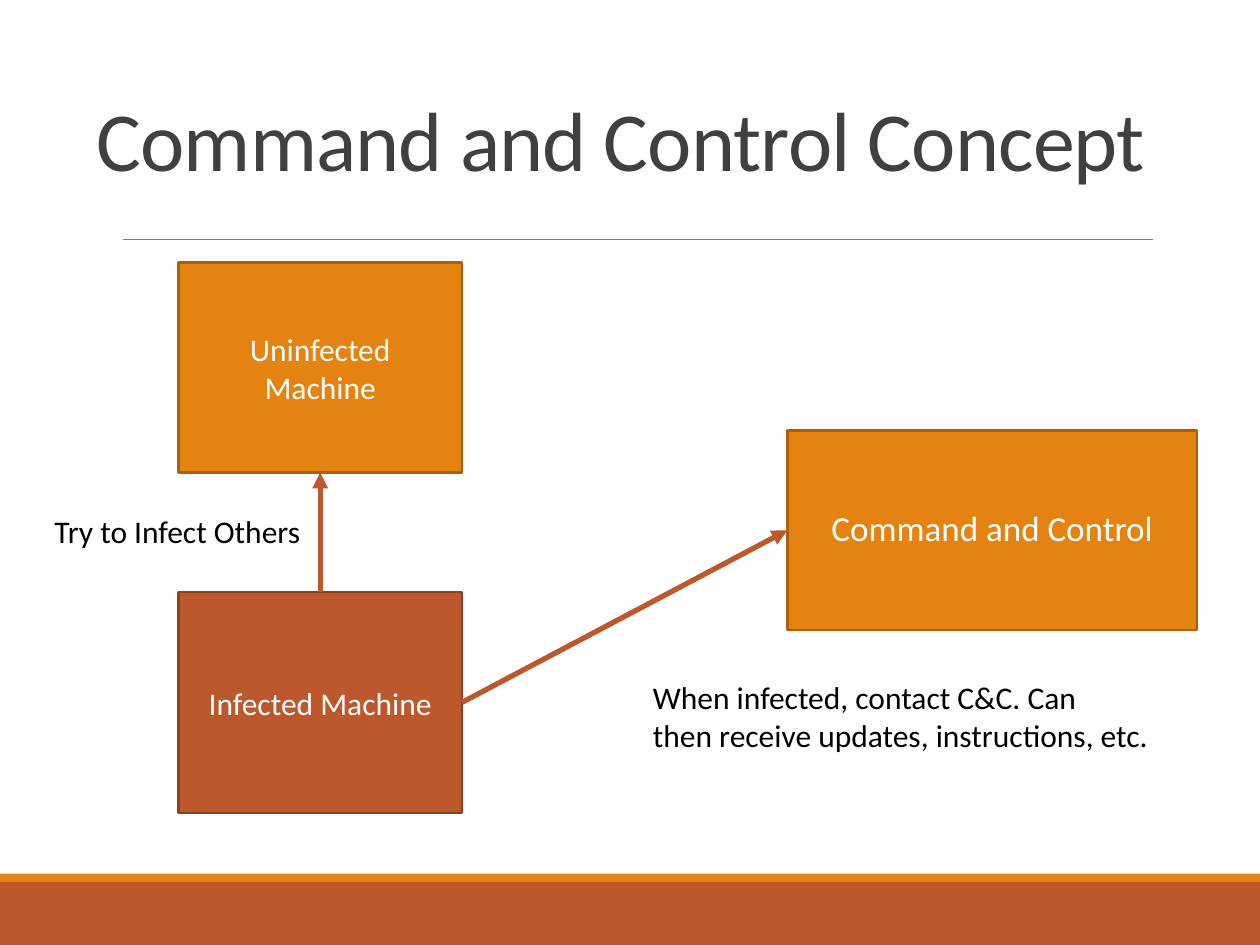
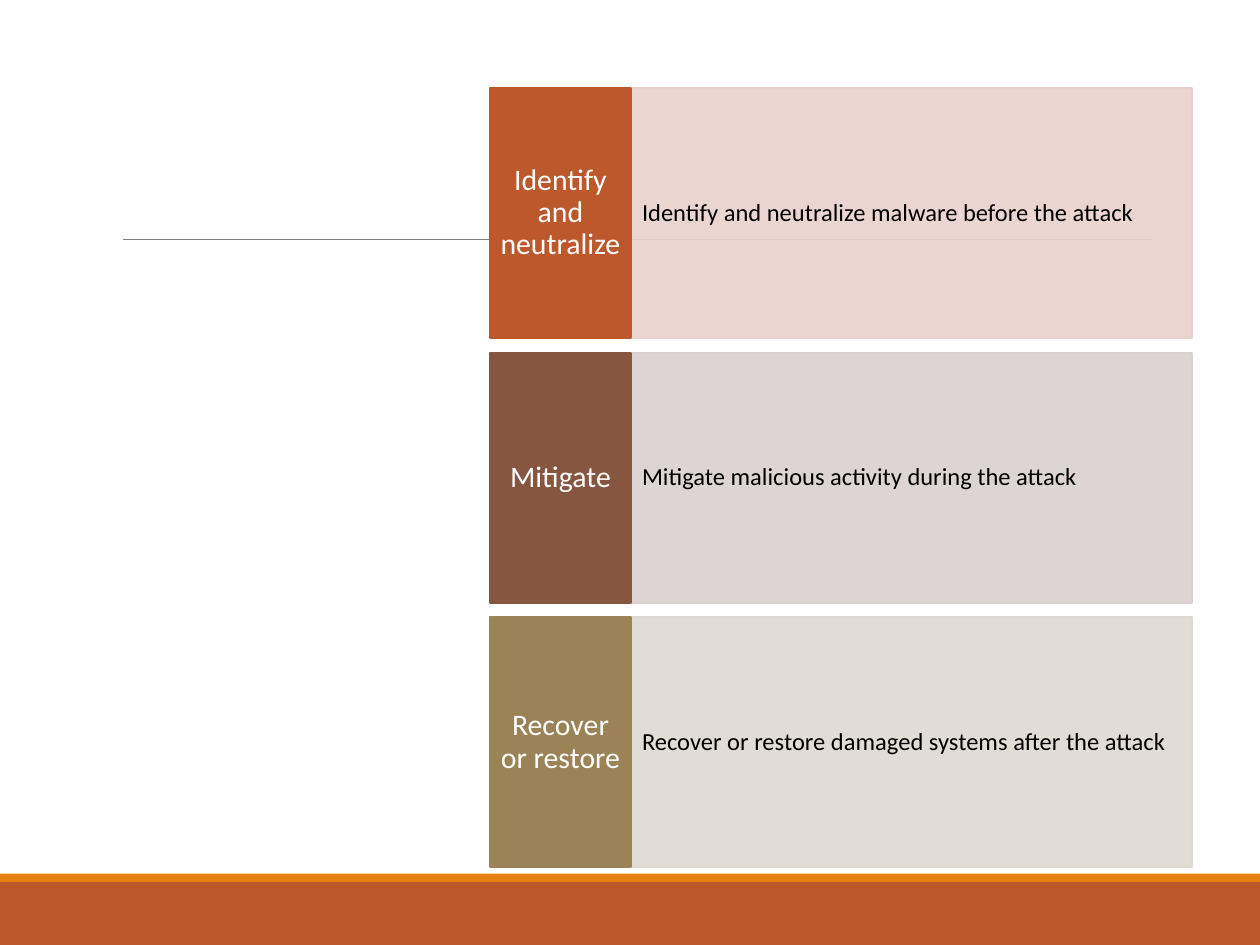
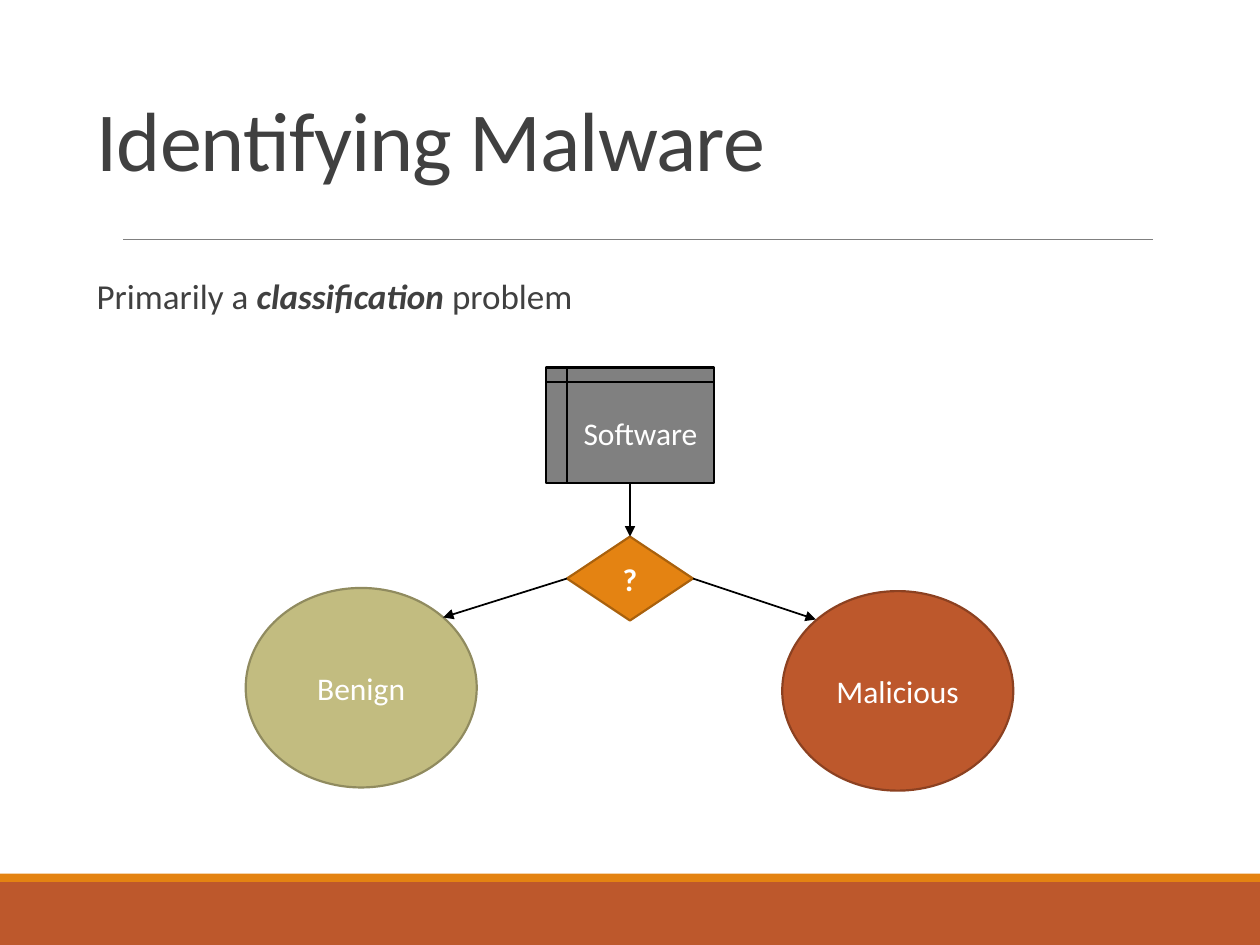
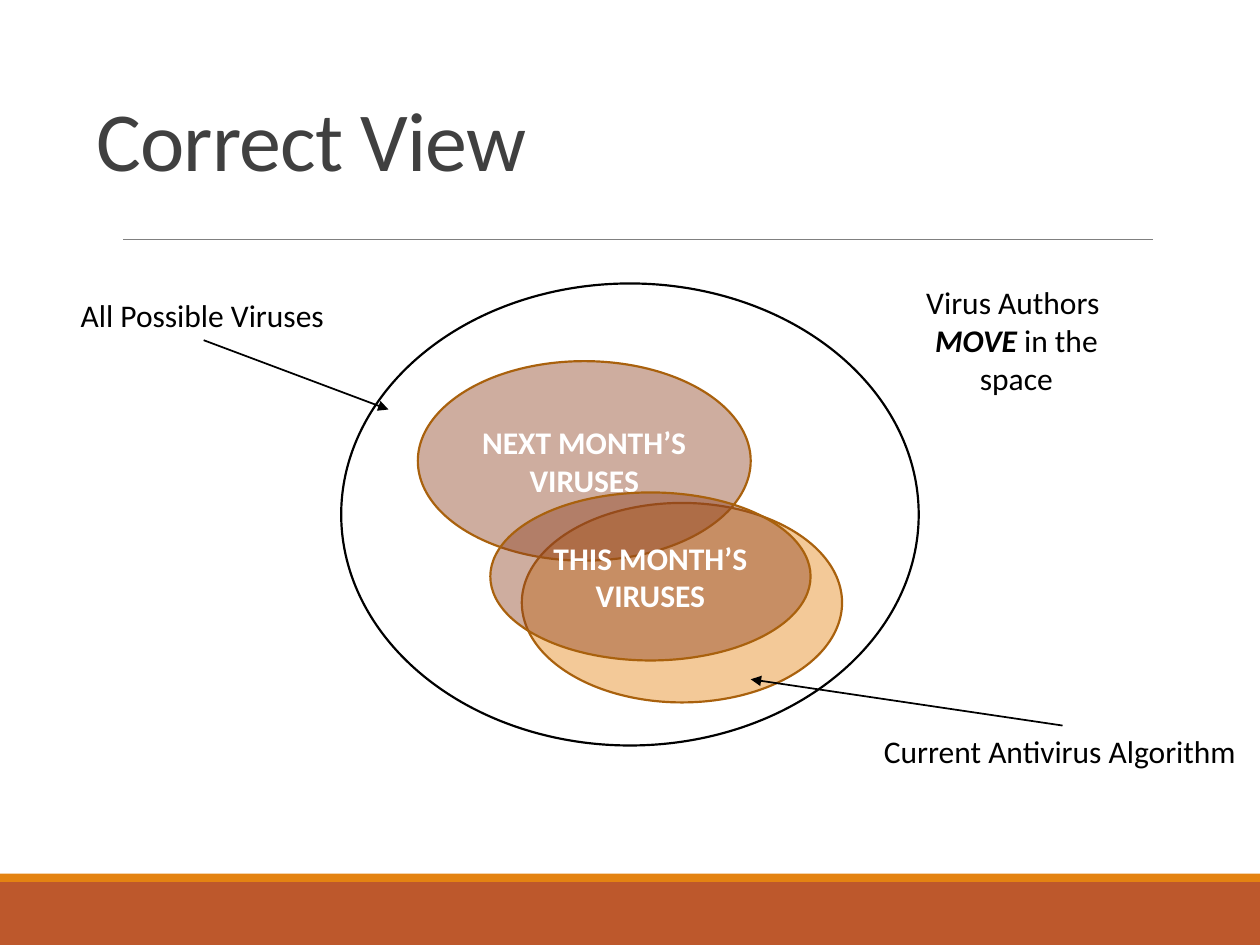
from dataclasses import dataclass

from pptx import Presentation
from pptx import util as u
from pptx.dml.color import RGBColor
from pptx.enum import shapes, text
from pptx.oxml import ns, xmlchemy

HEX = {
    "orange": "E48312", "amber": "A9610D", "rust": "BD582C", "brick": "8C4121",
    "brown": "865640", "olive": "9B8357", "sage": "C2BC80", "moss": "908B5F",
    "rose": "E8D1CD", "mauve": "D9D1CF", "sand": "DED9D1", "wine": "8E4221",
    "gray": "808080", "ink": "404040", "black": "000000", "white": "FFFFFF",
}
FACE = "Calibri"
CELL = u.Inches(1) / 12
KIND = shapes.MSO_SHAPE
MID = text.PP_ALIGN.CENTER
LEFT = text.PP_ALIGN.LEFT


@dataclass
class Box:
    """An area measured in cells of a 120 by 90 grid."""
    x: float
    y: float
    w: float
    h: float

    def sub(self, x, y, w, h):
        """Return an area placed from this one's corner."""
        return Box(self.x + x, self.y + y, w, h)

    def spot(self, x, y):
        """Return a point placed from this area's corner."""
        return u.Emu(round((self.x + x) * CELL)), u.Emu(round((self.y + y) * CELL))

    def dims(self):
        """Return left, top, width and height."""
        return *self.spot(0, 0), round(self.w * CELL), round(self.h * CELL)


PAGE = Box(0, 0, 120, 90)
HEAD = Box(8, 3.6, 104, 15)


def hue(name):
    """Return a named colour."""
    return RGBColor.from_string(HEX[name])


def add_tag(node, tag, **attrs):
    """Append a drawing element with attributes."""
    child = xmlchemy.OxmlElement(tag)
    for key, value in attrs.items():
        child.set(key, str(value))
    node.append(child)
    return child


def move(shape, box):
    """Move a placeholder onto an area."""
    shape.left, shape.top, shape.width, shape.height = box.dims()


def write(shape, lines, size, tone, align=LEFT, bold=None):
    """Write paragraphs, with starred words in bold italics."""
    frame = shape.text_frame
    for i, line in enumerate(lines):
        para = frame.add_paragraph() if i else frame.paragraphs[0]
        para.alignment = align
        font = para.font
        font.name, font.size, font.bold = FACE, u.Pt(size), bold
        font.color.rgb = hue(tone)
        for j, part in enumerate(line.split("*")):
            run = para.add_run()
            run.text = part
            if j % 2:
                run.font.bold = run.font.italic = True
    return frame


def inset(frame, side, edge):
    """Set the side and edge margins in inches."""
    frame.margin_left = frame.margin_right = u.Inches(side)
    frame.margin_top = frame.margin_bottom = u.Inches(edge)


def paint(shape, fill, line, alpha=None):
    """Fill and outline a shape."""
    shape.fill.solid()
    shape.fill.fore_color.rgb = hue(fill)
    if alpha:
        clr = shape.element.spPr.find(ns.qn("a:solidFill"))[0]
        add_tag(clr, "a:alpha", val=alpha * 1000)
    if line:
        shape.line.color.rgb = hue(line)
        shape.line.width = u.Pt(1.25)
    else:
        shape.line.fill.background()


def block(slide, kind, box, fill, line, words="", bold=None, alpha=None,
          size=18, tone="white", align=MID):
    """Add a preset shape with text in its middle."""
    shape = slide.shapes.add_shape(kind, *box.dims())
    shape.shadow.inherit = False
    paint(shape, fill, line, alpha)
    if words:
        frame = write(shape, [words], size, tone, align, bold)
        frame.word_wrap = True
        frame.vertical_anchor = text.MSO_ANCHOR.MIDDLE
    return shape


def label(slide, box, *lines, align=LEFT):
    """Add a plain text label."""
    shape = slide.shapes.add_textbox(*box.dims())
    frame = write(shape, lines, 18, "black", align)
    frame.word_wrap = False
    frame.auto_size = text.MSO_AUTO_SIZE.SHAPE_TO_FIT_TEXT


def rule(slide, start, end, tone, width):
    """Add a straight line between two points."""
    line = slide.shapes.add_connector(shapes.MSO_CONNECTOR.STRAIGHT, *start, *end)
    line.line.color.rgb = hue(tone)
    line.line.width = u.Pt(width)
    add_tag(line.element.spPr, "a:effectLst")
    return line


def arrow(slide, start, end, tone="black", width=1):
    """Add an arrow between points or (shape, side) pairs."""
    free = [(0, 0) if hasattr(p[0], "shape_id") else p for p in (start, end)]
    line = rule(slide, *free, tone, width)
    if free[0] != start:
        line.begin_connect(*start)
    if free[1] != end:
        line.end_connect(*end)
    add_tag(line.element.spPr.find(ns.qn("a:ln")), "a:tailEnd", type="triangle")


def title(slide, words, box=HEAD):
    """Fill the title placeholder."""
    shape = slide.shapes.title
    move(shape, box)
    frame = write(shape, [words], 48, "ink")
    frame.auto_size = text.MSO_AUTO_SIZE.NONE
    frame.vertical_anchor = text.MSO_ANCHOR.BOTTOM
    para = frame.paragraphs[0]
    para.line_spacing = 0.85
    para.runs[0].font.size = u.Pt(48)
    para.runs[0].font._element.set("spc", "-50")


def body(slide, box, words, tone, align=LEFT, bullet=False):
    """Fill the body placeholder with one paragraph."""
    shape = slide.placeholders[1]
    move(shape, box)
    frame = write(shape, [words], 20, tone, align)
    frame.auto_size = text.MSO_AUTO_SIZE.NONE
    inset(frame, 0, 0.05)
    para = frame.paragraphs[0]
    para.line_spacing = 0.9
    para.space_before, para.space_after = u.Pt(12), u.Pt(2)
    props = para._p.get_or_add_pPr()
    hang = u.Inches(0.1) if bullet else 0
    props.set("marL", str(hang))
    props.set("indent", str(-hang))
    mark = add_tag(props, "a:buChar", char=" ") if bullet else add_tag(props, "a:buNone")
    props.find(ns.qn("a:defRPr")).addprevious(mark)
    return shape


def bands(deck, slide, box):
    """Put the footer bands and the title rule on the master."""
    parts = [
        block(slide, KIND.RECTANGLE, box.sub(0, 84, box.w, 6), "rust", None),
        block(slide, KIND.RECTANGLE, box.sub(0, 83.2, box.w, 0.8), "orange", None),
        rule(slide, box.spot(11.75, 22.8), box.spot(109.8, 22.8), "gray", 0.5),
    ]
    tree = deck.slide_master.shapes.element
    for i, part in enumerate(parts):
        tree.insert(2 + i, part.element)


def control(slide, box):
    """Show how an infected machine spreads and reports."""
    clean = block(slide, KIND.RECTANGLE, box.sub(13, 0, 27, 20), "orange", "amber",
                  "Uninfected Machine")
    sick = block(slide, KIND.RECTANGLE, box.sub(13, 31.4, 27, 21), "rust", "brick",
                 "Infected Machine")
    hub = body(slide, box.sub(71, 16, 39, 19), "Command and Control", "white", MID)
    paint(hub, "orange", "amber")
    hub.text_frame.vertical_anchor = text.MSO_ANCHOR.MIDDLE
    arrow(slide, (sick, 0), (clean, 2), "rust", 3)
    label(slide, box.sub(0, 23.2, 26, 4.8), "Try to Infect Others")
    arrow(slide, (sick, 3), (hub, 1), "rust", 3)
    label(slide, box.sub(57, 39, 50.2, 8.5), "When infected, contact C&C. Can",
          "then receive updates, instructions, etc.")


def steps(slide, box):
    """Stack the defence steps in equal rows."""
    rows = [
        ("Identify and neutralize", "Identify and neutralize malware before the attack",
         "rust", "rose"),
        ("Mitigate", "Mitigate malicious activity during the attack", "brown", "mauve"),
        ("Recover or restore", "Recover or restore damaged systems after the attack",
         "olive", "sand"),
    ]
    gap, side = 1.4, box.w / 5
    high = (box.h - gap * (len(rows) - 1)) / len(rows)
    for i, (name, note, dark, pale) in enumerate(rows):
        row = box.sub(0, i * (high + gap), box.w, high)
        wide = block(slide, KIND.RECTANGLE, row.sub(side, 0, row.w - side, high), pale,
                     pale, note, alpha=90, size=14, tone="black", align=LEFT)
        tab = block(slide, KIND.RECTANGLE, row.sub(0, 0, side, high), dark, dark, name,
                    size=17)
        inset(wide.text_frame, 0.09, 0.5)
        inset(tab.text_frame, 0.06, 0.2)
        for part in (wide, tab):
            part.text_frame.paragraphs[0].line_spacing = 0.9


def sorting(slide, box):
    """Show software being sorted into two classes."""
    body(slide, box, "Primarily a *classification* problem", "ink", bullet=True)
    test = block(slide, KIND.FLOWCHART_DECISION, box.sub(46, 25.1, 12, 8), "orange",
                 "amber", "?", True)
    soft = block(slide, KIND.FLOWCHART_INTERNAL_STORAGE, box.sub(44, 9, 16, 11), "gray",
                 "black", "Software")
    block(slide, KIND.OVAL, box.sub(66.5, 30.3, 22, 19), "rust", "brick", "Malicious")
    block(slide, KIND.OVAL, box.sub(15.4, 30, 22, 19), "sage", "moss", "Benign")
    arrow(slide, (soft, 2), (test, 0))
    arrow(slide, (test, 1), box.spot(34.2, 32.8))
    arrow(slide, (test, 3), box.spot(69.7, 33))


def space(slide, box):
    """Show virus sets moving within the space."""
    block(slide, KIND.OVAL, box.sub(26.5, 1, 55, 44), "white", "black")
    block(slide, KIND.OVAL, box.sub(43.7, 21.9, 30.5, 19), "orange", "amber", alpha=43)
    label(slide, box.sub(0.5, 1.6, 25.8, 4.8), "All Possible Viruses")
    label(slide, box.sub(77, 43.1, 36.4, 4.8), "Current Antivirus Algorithm")
    arrow(slide, box.spot(13.4, 6.4), box.spot(31, 13))
    arrow(slide, box.spot(95.2, 43.1), box.spot(65.5, 38.7))
    block(slide, KIND.OVAL, box.sub(33.8, 8.4, 31.7, 19), "wine", "amber",
          "NEXT MONTH’S VIRUSES", True, 43)
    label(slide, box.sub(80.9, 0.4, 19.8, 12.1), "Virus Authors ", "*MOVE *in the",
          "space", align=MID)
    block(slide, KIND.OVAL, box.sub(40.7, 20.9, 30.5, 16), "wine", "amber",
          "THIS MONTH’S VIRUSES", True, 43)


def main():
    """Build and save the deck."""
    deck = Presentation()
    deck.slide_width, deck.slide_height = u.Inches(10), u.Inches(7.5)
    plan = [
        (1, "Command and Control Concept", control, Box(4, 25, 110, 52.4)),
        (6, None, steps, Box(46.7, 8.4, 66.8, 74.2)),
        (1, "Identifying Malware", sorting, Box(8, 26, 104, 49)),
        (5, "Correct View", space, Box(6, 26, 113.4, 49)),
    ]
    for i, (layout, head, draw, box) in enumerate(plan):
        slide = deck.slides.add_slide(deck.slide_layouts[layout])
        if not i:
            bands(deck, slide, PAGE)
        if head:
            title(slide, head)
        draw(slide, box)
    deck.save("out.pptx")


if __name__ == "__main__":
    main()
